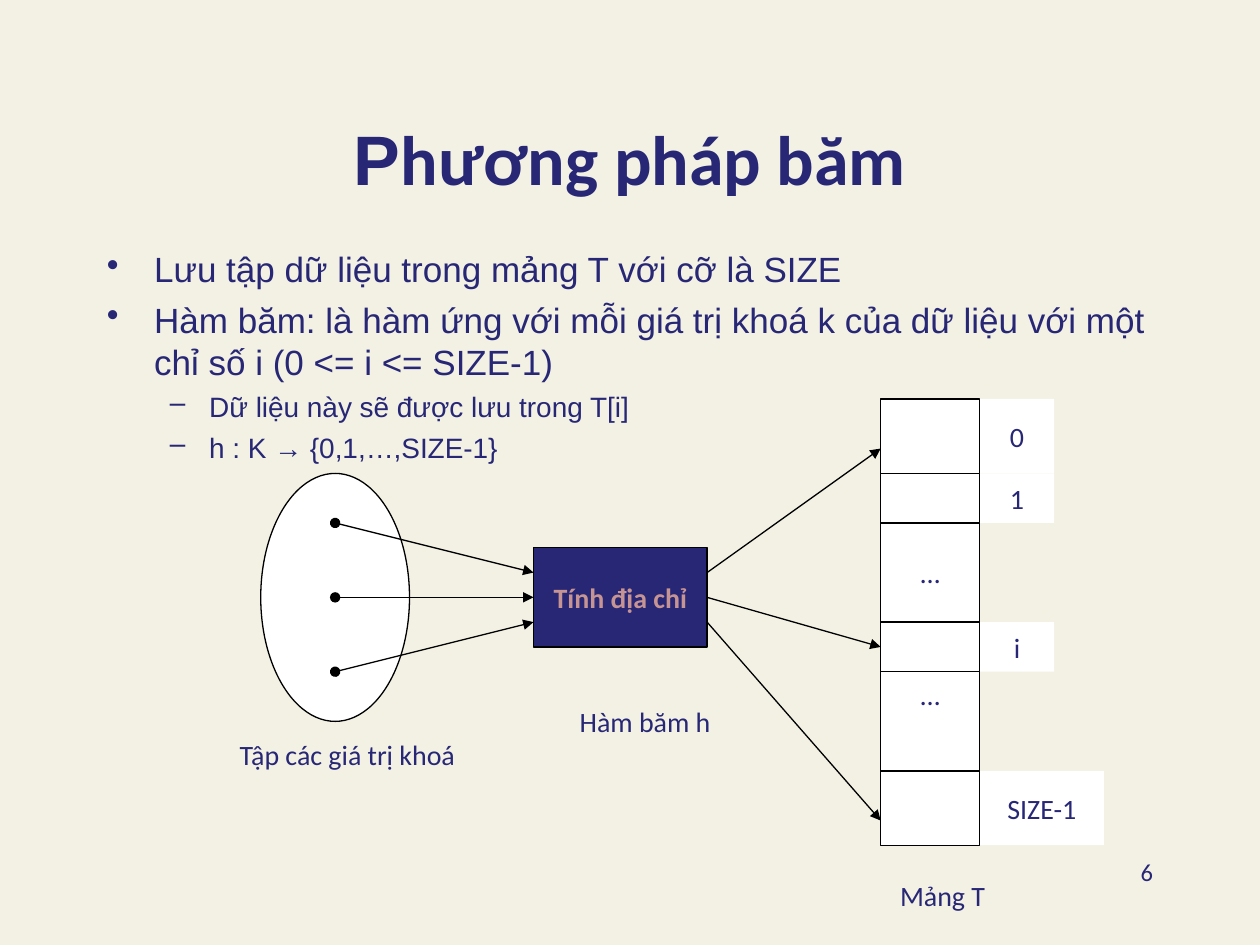
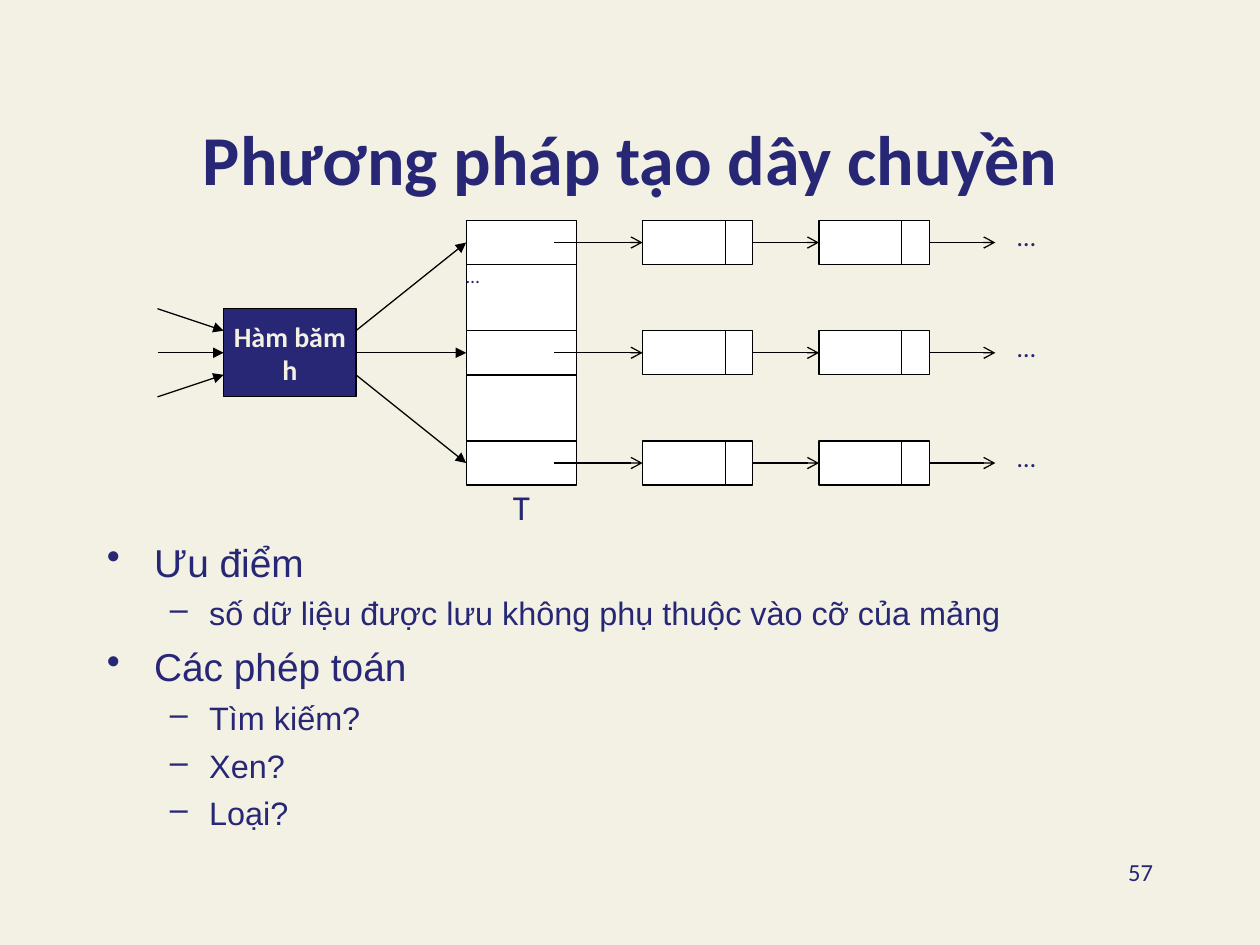
from lxml import etree
from pptx import Presentation
from pptx.dml.color import RGBColor
from pptx.enum.shapes import MSO_CONNECTOR, MSO_SHAPE
from pptx.enum.text import MSO_ANCHOR, PP_ALIGN
from pptx.oxml.ns import qn
from pptx.util import Pt

RECT, OVAL = MSO_SHAPE.RECTANGLE, MSO_SHAPE.OVAL
STRAIGHT = MSO_CONNECTOR.STRAIGHT
TOP, MIDDLE, BOTTOM = MSO_ANCHOR.TOP, MSO_ANCHOR.MIDDLE, MSO_ANCHOR.BOTTOM
LEFT, CENTER, RIGHT = PP_ALIGN.LEFT, PP_ALIGN.CENTER, PP_ALIGN.RIGHT
LEFT_SIDE, RIGHT_SIDE = 1, 3

COLORS = {
    "paper": "F3F1E4",
    "navy": "272776",
    "white": "FFFFFF",
    "black": "000000",
    "rose": "C79494",
}
HEADING_FONT, BODY_FONT = "Calibri", "Arial"
PADDED = (7.2, 3.6, 7.2, 3.6)
TIGHT = (0, 0, 0, 0)
BULLETS = (("•", 27, -27), ("–", 58.5, -22.5))  # sign, margin, indent per level


def color(name):
    return RGBColor.from_string(COLORS[name])


def on_grid(left, top, unit):
    """Return a function that turns grid units into points."""
    def place(x, y, width=None, height=None):
        spot = (left + x * unit, top + y * unit)
        return spot if width is None else spot + (width * unit, height * unit)
    return place


# Text
def add_span(para, text, size, font=HEADING_FONT, ink="navy", bold=False):
    span = para.add_run()
    span.text = text
    span.font.size = Pt(size)
    span.font.name = font
    span.font.bold = bold
    span.font.color.rgb = color(ink)


def set_frame(box, anchor, insets):
    frame = box.text_frame
    frame.word_wrap = True
    frame.vertical_anchor = anchor
    frame.margin_left, frame.margin_top, frame.margin_right, frame.margin_bottom = map(Pt, insets)
    return frame


def write(box, text, size=16, align=CENTER, anchor=MIDDLE, insets=PADDED, **style):
    para = set_frame(box, anchor, insets).paragraphs[0]
    para.alignment = align
    add_span(para, text, size, **style)
    return para


def add_text(page, place, text, **style):
    return write(page.shapes.add_textbox(*map(Pt, place)), text, **style)


def add_bullets(page, place, items, sizes, gaps):
    frame = set_frame(page.shapes.add_textbox(*map(Pt, place)), TOP, PADDED)
    for index, (level, text) in enumerate(items):
        para = frame.add_paragraph() if index else frame.paragraphs[0]
        sign, margin, indent = BULLETS[level]
        para.level = level
        para.space_before = Pt(gaps[level] if index else 0)
        props = para._p.get_or_add_pPr()
        props.set("marL", str(Pt(margin)))
        props.set("indent", str(Pt(indent)))
        tint = etree.SubElement(props, qn("a:buClr"))
        etree.SubElement(tint, qn("a:srgbClr"), val=COLORS["navy"])
        etree.SubElement(props, qn("a:buChar"), char=sign)
        add_span(para, text, sizes[level], font=BODY_FONT)


# Shapes and lines
def add_box(page, place, kind=RECT, fill="white", line="black"):
    box = page.shapes.add_shape(kind, *map(Pt, place))
    box.shadow.inherit = False
    if fill:
        box.fill.solid()
        box.fill.fore_color.rgb = color(fill)
    else:
        box.fill.background()
    if line:
        box.line.color.rgb = color(line)
        box.line.width = Pt(0.75)
    else:
        box.line.fill.background()
    return box


def add_caption(page, place, text):
    write(add_box(page, place, OVAL, fill=None, line=None), text)


def add_line(page, start, end, head=None, tail=None, source=None, target=None):
    """Draw from start to end; source and target are boxes to join at mid-side."""
    line = page.shapes.add_connector(STRAIGHT, *map(Pt, start + end))
    line.line.color.rgb = color("black")
    line.line.width = Pt(0.75)
    stroke = line.line._get_or_add_ln()
    for tag, mark in (("a:headEnd", head), ("a:tailEnd", tail)):
        if mark:
            etree.SubElement(stroke, qn(tag), type=mark)
    etree.SubElement(line._element.spPr, qn("a:effectLst"))
    if source:
        line.begin_connect(source, RIGHT_SIDE)
    if target:
        line.end_connect(target, LEFT_SIDE)


# Parts shared by the pages
def add_page(deck, title, number):
    page = deck.slides.add_slide(deck.slide_layouts[6])
    page.background.fill.solid()
    page.background.fill.fore_color.rgb = color("paper")
    (first, font), *rest = title
    para = add_text(page, (54, 36, 612, 78), first, size=40, font=font, bold=True,
                    anchor=BOTTOM, insets=(7.2, 0, 7.2, 0))
    for text, font in rest:
        add_span(para, text, 40, font=font, bold=True)
    add_text(page, (516, 486, 150, 36), number, size=14, align=RIGHT, anchor=TOP)
    return page


def add_hashing_page(deck):
    page = add_page(deck, [("P", BODY_FONT), ("hương pháp băm", HEADING_FONT)], "6")
    add_bullets(page, (54, 138, 612, 336), [
        (0, "Lưu tập dữ liệu trong mảng T với cỡ là SIZE"),
        (0, "Hàm băm: là hàm ứng với mỗi giá trị khoá k của dữ liệu với một "
            "chỉ số i (0 <= i <= SIZE-1)"),
        (1, "Dữ liệu này sẽ được lưu trong T[i]"),
        (1, "h : K → {0,1,…,SIZE-1}"),
    ], sizes=(20, 16), gaps=(5, 4))
    grid = on_grid(149, 270.5, 14.17)

    # Key set and hash function
    hasher = add_box(page, grid(11, 3, 7, 4), fill="navy")
    write(hasher, "Tính địa chỉ", ink="rose", bold=True)
    add_box(page, grid(0, 0, 6, 10), OVAL)
    for key_y, entry_y in ((2, 4), (5, 5), (8, 6)):
        add_line(page, grid(3, key_y), grid(11, entry_y), head="oval", tail="triangle",
                 target=hasher if entry_y == 5 else None)

    # Array T: height, text in the cell, its anchor, index label, label width
    cells = [
        (3, "", MIDDLE, "0", 3),
        (2, "", MIDDLE, "1", 3),
        (4, "…", MIDDLE, "", 0),
        (2, "", MIDDLE, "i", 3),
        (4, "…", TOP, "", 0),
        (3, "", MIDDLE, "SIZE-1", 5),
    ]
    slots = {}
    y = -3
    for height, text, anchor, label, label_width in cells:
        if label:
            write(add_box(page, grid(29, y, label_width, height), line=None), label)
        cell = add_box(page, grid(25, y, 4, height))
        if text:
            write(cell, text, anchor=anchor)
        slots[label] = cell
        y += height

    # Addresses
    for exit_y, slot_y in ((4, -1), (5, 7), (6, 14)):
        middle = exit_y == 5
        add_line(page, grid(18, exit_y), grid(25, slot_y), tail="triangle",
                 source=hasher if middle else None, target=slots["i"] if middle else None)

    add_caption(page, grid(10, 8, 11, 4), "Hàm băm h")
    add_caption(page, grid(-5, 9.35, 17, 4), "Tập các giá trị khoá")
    add_caption(page, grid(22, 15, 11, 4), "Mảng T")


def add_chain(page, grid, y):
    """Draw one slot of T with its linked nodes and return the slot."""
    middle = y + 1
    slot = add_box(page, grid(14, y, 5, 2))
    previous, start = None, grid(18, middle)
    for x in (22, 30):
        node = add_box(page, grid(x, y, 5, 2))
        add_line(page, grid(x + 3.75, y), grid(x + 3.75, y + 2))
        add_line(page, start, grid(x, middle), tail="arrow", source=previous, target=node)
        previous, start = node, grid(x + 5, middle)
    add_line(page, start, grid(38, middle), tail="arrow", source=previous)
    add_text(page, grid(39, y, 5, 2), "…", size=15, align=LEFT, anchor=TOP, insets=TIGHT)
    return slot


def add_chaining_page(deck):
    page = add_page(deck, [("Phương pháp tạo dây chuyền", HEADING_FONT)], "57")
    add_bullets(page, (54, 304, 612, 170), [
        (0, "Ưu điểm"),
        (1, "số dữ liệu được lưu không phụ thuộc vào cỡ của mảng"),
        (0, "Các phép toán"),
        (1, "Tìm kiếm?"),
        (1, "Xen?"),
        (1, "Loại?"),
    ], sizes=(22.2, 18.5), gaps=(6, 5))
    grid = on_grid(90, 126, 12.6)

    # Array T with its chains
    add_text(page, grid(14, 12, 5, 2), "T", size=20, anchor=TOP, insets=TIGHT)
    slots = [add_chain(page, grid, y) for y in (0, 5, 10)]
    upper_gap, _ = [add_box(page, grid(14, y, 5, 3)) for y in (2, 7)]
    write(upper_gap, "…", size=11, align=LEFT, anchor=TOP, insets=TIGHT)

    # Hash function with arrows in and out
    hasher = add_box(page, grid(3, 4, 6, 4), fill="navy")
    write(hasher, "Hàm băm h", ink="paper", bold=True, insets=TIGHT)
    for slot, key_y, port_y, slot_y in zip(slots, (4, 6, 8), (5, 6, 7), (1, 6, 11)):
        joined = hasher if port_y == 6 else None
        add_line(page, grid(0, key_y), grid(3, port_y), tail="triangle", target=joined)
        add_line(page, grid(9, port_y), grid(14, slot_y), tail="triangle",
                 source=joined, target=slot)


def main():
    deck = Presentation()
    deck.slide_width, deck.slide_height = Pt(720), Pt(540)
    add_hashing_page(deck)
    add_chaining_page(deck)
    deck.save("out.pptx")


if __name__ == "__main__":
    main()
